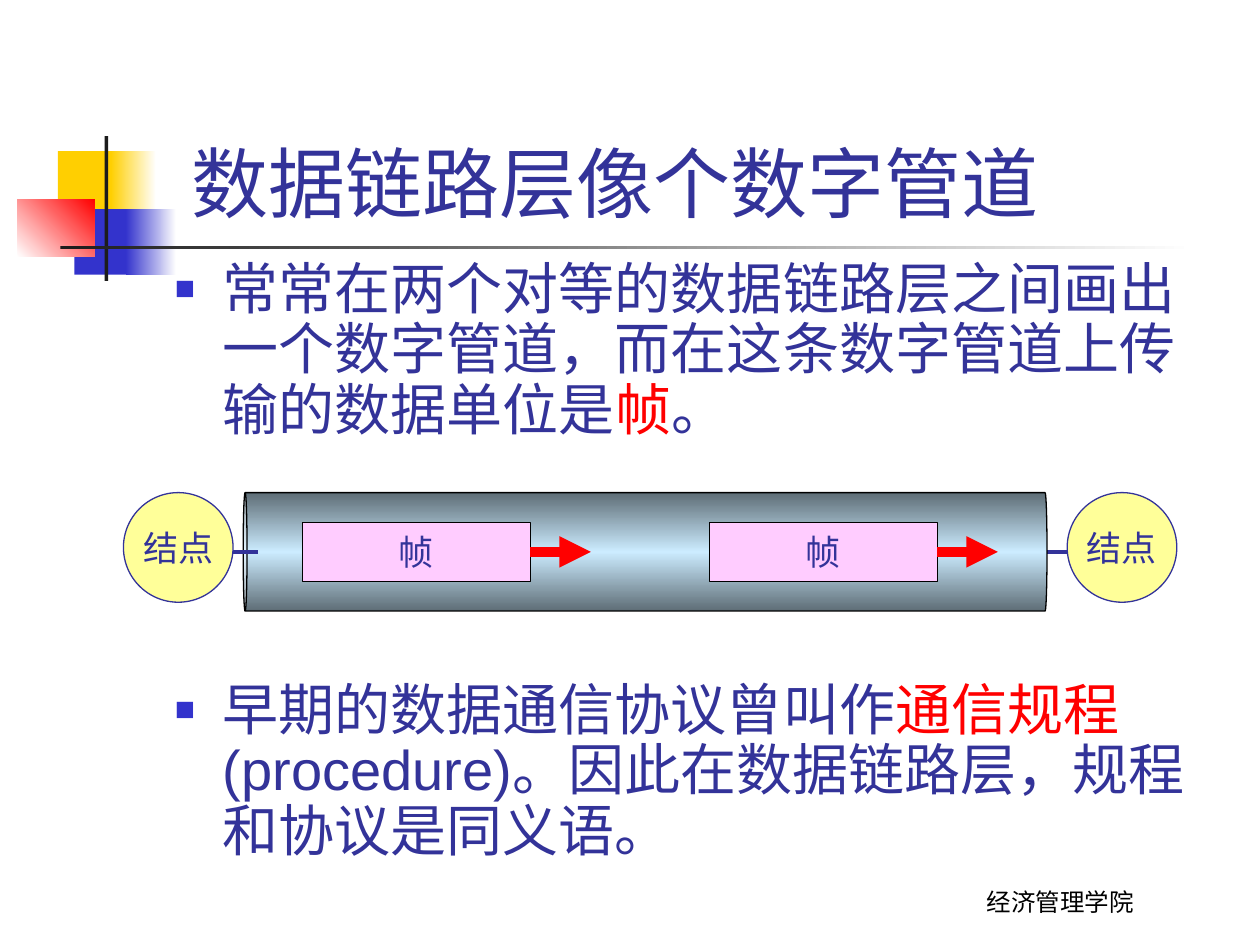
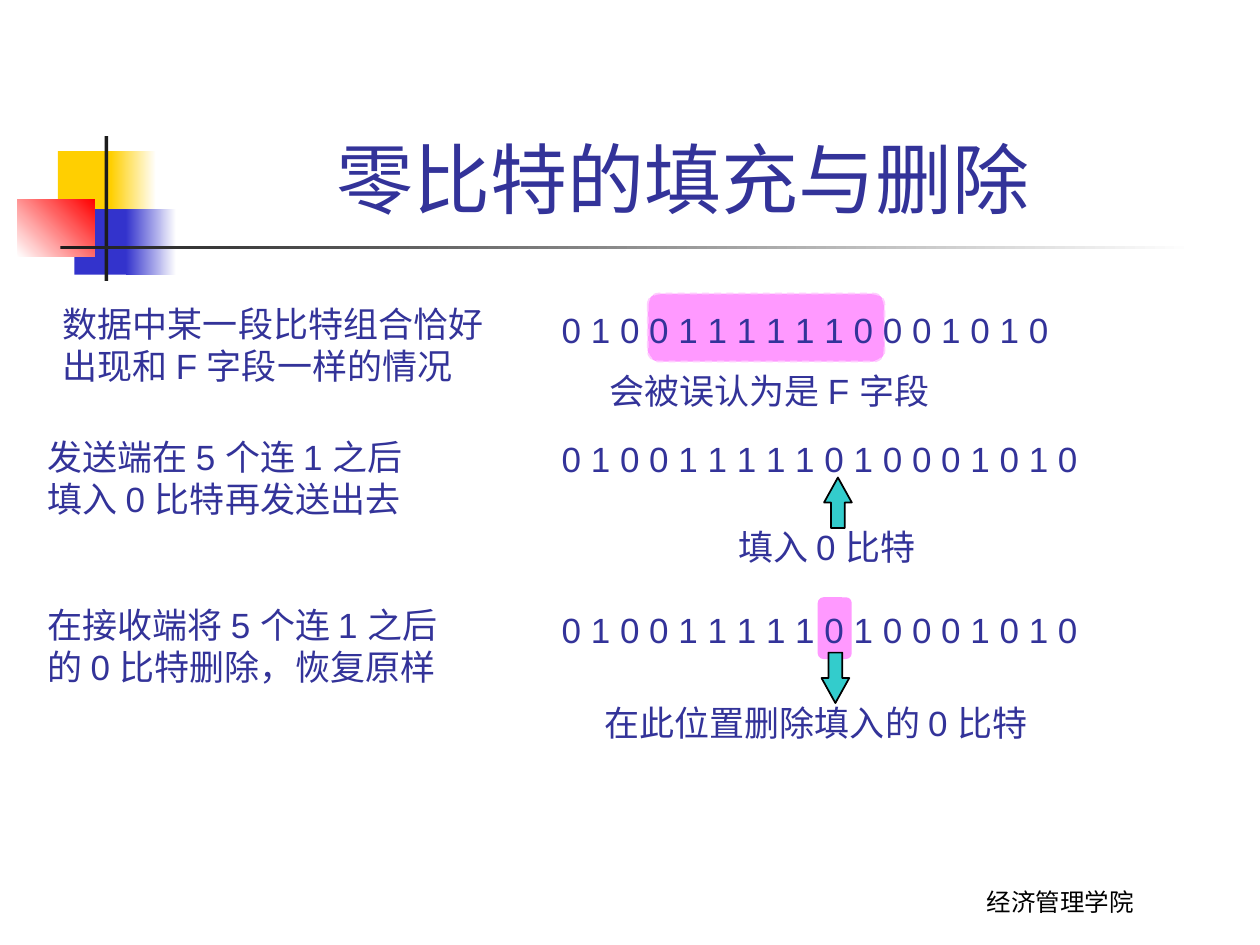
from dataclasses import dataclass

from lxml import etree
from pptx import Presentation
from pptx.dml.color import RGBColor
from pptx.enum.dml import MSO_LINE
from pptx.enum.lang import MSO_LANGUAGE_ID
from pptx.enum.shapes import MSO_CONNECTOR, MSO_SHAPE
from pptx.enum.text import MSO_ANCHOR, MSO_AUTO_SIZE, PP_ALIGN
from pptx.oxml.ns import qn
from pptx.util import Inches, Pt

RECTANGLE, ROUNDED = MSO_SHAPE.RECTANGLE, MSO_SHAPE.ROUNDED_RECTANGLE
ELLIPSE, CAN = MSO_SHAPE.OVAL, MSO_SHAPE.CAN
UP_ARROW, DOWN_ARROW = MSO_SHAPE.UP_ARROW, MSO_SHAPE.DOWN_ARROW
STRAIGHT = MSO_CONNECTOR.STRAIGHT
DASH = MSO_LINE.DASH
LEFT, CENTER = PP_ALIGN.LEFT, PP_ALIGN.CENTER
TOP, MIDDLE, BOTTOM = MSO_ANCHOR.TOP, MSO_ANCHOR.MIDDLE, MSO_ANCHOR.BOTTOM
FIT_SHAPE = MSO_AUTO_SIZE.SHAPE_TO_FIT_TEXT
CHINESE = MSO_LANGUAGE_ID.SIMPLIFIED_CHINESE
RIGHT_SIDE = 3


@dataclass(frozen=True)
class Theme:
    ink: str = "333399"
    accent: str = "FF0000"
    black: str = "000000"
    white: str = "FFFFFF"
    rule: str = "1C1C1C"
    yellow: str = "FFCF01"
    blue: str = "3333CC"
    node: str = "FFFF99"
    frame: str = "FFCCFF"
    pipe_edge: str = "5E6D76"
    pipe_glow: str = "CCECFF"
    highlight: str = "FF99FF"
    arrow: str = "33CCCC"
    font: str = "Arial"
    label_font: str = "Cabin"
    title_size: int = 44
    body_size: int = 32
    label_size: int = 20
    footer_size: int = 14


@dataclass(frozen=True)
class Box:
    left: float
    top: float
    width: float
    height: float

    def inner(self, left, top, width, height):
        """Return a box whose corner is measured from this box's corner."""
        return Box(self.left + left, self.top + top, width, height)

    def inches(self):
        return [Inches(n) for n in (self.left, self.top, self.width, self.height)]


@dataclass(frozen=True)
class Step:
    """One row of the bit stuffing example; boxes are relative to the row."""
    row: Box
    explanation: tuple
    explanation_box: Box
    bits: str
    bits_box: Box
    caption: str
    caption_box: Box
    mark_box: Box = None
    mark_dashed: bool = False
    arrow: object = None
    arrow_box: Box = None


THEME = Theme()


def rgb(color):
    return RGBColor.from_string(color)


def set_gradient(shape, colors, angle):
    """Fill with evenly spaced colours; the angle runs clockwise in degrees."""
    shape.fill.background()
    properties = shape._element.spPr
    gradient = etree.Element(qn("a:gradFill"), rotWithShape="1")
    stops = etree.SubElement(gradient, qn("a:gsLst"))
    for index, color in enumerate(colors):
        position = 100000 * index // (len(colors) - 1)
        stop = etree.SubElement(stops, qn("a:gs"), pos=str(position))
        etree.SubElement(stop, qn("a:srgbClr"), val=color)
    etree.SubElement(gradient, qn("a:lin"), ang=str(angle * 60000), scaled="0")
    properties.replace(properties.find(qn("a:noFill")), gradient)


def add_shape(page, kind, box, fill, line=None, weight=0.75, angle=0):
    """Draw a preset shape; a list of colours as fill makes a gradient."""
    shape = page.shapes.add_shape(kind, *box.inches())
    shape.shadow.inherit = False
    if isinstance(fill, list):
        set_gradient(shape, fill, angle)
    else:
        shape.fill.solid()
        shape.fill.fore_color.rgb = rgb(fill)
    if line:
        shape.line.color.rgb = rgb(line)
        shape.line.width = Pt(weight)
    else:
        shape.line.fill.background()
    return shape


def add_line(page, left, right, level, color, weight, arrow=False):
    line = page.shapes.add_connector(
        STRAIGHT, Inches(left), Inches(level), Inches(right), Inches(level))
    line.line.color.rgb = rgb(color)
    line.line.width = Pt(weight)
    if arrow:
        etree.SubElement(line.line._get_or_add_ln(), qn("a:tailEnd"), type="triangle")
    etree.SubElement(line._element.spPr, qn("a:effectLst"))
    return line


def add_span(para, text, size, color=THEME.ink, font=THEME.font):
    span = para.add_run()
    span.text = text
    span.font.size = Pt(size)
    span.font.name = font
    span.font.color.rgb = rgb(color)
    span.font.language_id = CHINESE


def add_text(page, box, lines, size, color=THEME.ink, font=THEME.font,
             align=CENTER, anchor=BOTTOM, wrap=True):
    holder = page.shapes.add_textbox(*box.inches())
    frame = holder.text_frame
    frame.word_wrap = wrap
    frame.vertical_anchor = anchor
    if not wrap:
        frame.auto_size = FIT_SHAPE
    for index, text in enumerate(lines):
        para = frame.add_paragraph() if index else frame.paragraphs[0]
        para.alignment = align
        add_span(para, text, size, color, font)


def add_note(page, box, lines):
    add_text(page, box, lines, THEME.label_size, align=LEFT, anchor=TOP, wrap=False)


def add_label(shape, text):
    frame = shape.text_frame
    frame.word_wrap = False
    frame.vertical_anchor = MIDDLE
    para = frame.paragraphs[0]
    para.alignment = CENTER
    add_span(para, text, THEME.label_size, font=THEME.label_font)


def add_ornament(page, box):
    """Draw the overlapping colour squares and the fading rule."""
    parts = [
        (0.32, 0.12, 0.48, 0.52, THEME.yellow, 0),
        (0.74, 0.12, 0.36, 0.52, [THEME.yellow, THEME.white], 0),
        (0.45, 0.58, 0.46, 0.52, THEME.blue, 0),
        (0.86, 0.58, 0.4, 0.52, [THEME.blue, THEME.white], 0),
        (0, 0.5, 0.61, 0.46, [THEME.white, THEME.accent], 315),
        (0.69, 0, 0.03, box.height, THEME.rule, 0),
        (0.34, 0.87, box.width - 0.34, 0.03, [THEME.rule, THEME.white], 0),
    ]
    for *place, fill, angle in parts:
        add_shape(page, RECTANGLE, box.inner(*place), fill, angle=angle)


def add_page(deck, title, title_box):
    page = deck.slides.add_slide(deck.slide_layouts[6])
    add_ornament(page, Box(0.14, 1.08, 9.34, 1.15))
    add_text(page, Box(6.83, 6.82, 3.17, 0.5), ["经济管理学院"],
             THEME.footer_size, THEME.black, THEME.label_font)
    add_text(page, title_box, [title], THEME.title_size)
    return page


def set_bullet(para):
    properties = para._p.get_or_add_pPr()
    properties.set("marL", str(Inches(0.38)))
    properties.set("indent", str(-Inches(0.38)))
    color = etree.SubElement(properties, qn("a:buClr"))
    etree.SubElement(color, qn("a:srgbClr"), val=THEME.blue)
    etree.SubElement(properties, qn("a:buSzPct"), val="60000")
    etree.SubElement(properties, qn("a:buFont"), typeface=THEME.font)
    etree.SubElement(properties, qn("a:buChar"), char="■")


def add_bullets(page, box, bullets):
    """Write bullets given as (space before, [(text, colour), ...])."""
    frame = page.shapes.add_textbox(*box.inches()).text_frame
    frame.word_wrap = True
    for index, (space, spans) in enumerate(bullets):
        para = frame.add_paragraph() if index else frame.paragraphs[0]
        para.line_spacing = 0.9
        para.space_before = Pt(space)
        set_bullet(para)
        for text, color in spans:
            add_span(para, text, THEME.body_size, color)


def add_digital_pipe(page, box):
    """Draw two nodes joined by a pipe that carries frames to the right."""
    node, gap, frame_width, frame_height = 0.87, 0.08, 1.81, 0.47
    middle = box.top + box.height / 2
    link_start = box.left + node
    for offset in (0, box.width - node):
        circle = add_shape(page, ELLIPSE, box.inner(offset, 0, node, node),
                           THEME.node, THEME.ink)
        add_label(circle, "结点")
    add_line(page, link_start, box.left + box.width - node, middle, THEME.ink, 2.25)

    length = box.width - 2 * (node + gap) - 0.08
    upright = box.inner(node + gap + (length - box.height) / 2,
                        (box.height - length) / 2, box.height, length)
    pipe = add_shape(page, CAN, upright,
                     [THEME.pipe_edge, THEME.pipe_glow, THEME.pipe_edge], THEME.black)
    pipe.adjustments[0] = 0.033
    pipe.rotation = 270
    add_line(page, link_start, link_start + 0.2, middle, THEME.ink, 2.25)

    for offset in (1.42, 4.65):
        place = box.inner(offset, (box.height - frame_height) / 2,
                          frame_width, frame_height)
        frame = add_shape(page, RECTANGLE, place, THEME.frame, THEME.black)
        add_label(frame, "帧")
        start = place.left + frame_width
        arrow = add_line(page, start, start + 0.48, middle, THEME.accent, 6, arrow=True)
        arrow.begin_connect(frame, RIGHT_SIDE)


def add_step(page, step):
    def place(box):
        return step.row.inner(box.left, box.top, box.width, box.height)

    if step.mark_box:
        mark = add_shape(page, ROUNDED, place(step.mark_box), THEME.highlight,
                         THEME.frame if step.mark_dashed else None, 1)
        mark.adjustments[0] = 0.167
        if step.mark_dashed:
            mark.line.dash_style = DASH
    add_note(page, place(step.explanation_box), step.explanation)
    if step.arrow:
        arrow = add_shape(page, step.arrow, place(step.arrow_box),
                          THEME.arrow, THEME.black, 1)
        arrow.adjustments[1] = 0.9
    add_note(page, place(step.caption_box), [step.caption])
    add_note(page, place(step.bits_box), [" ".join(step.bits)])


def build_pipe_page(deck):
    page = add_page(deck, "数据链路层像个数字管道 ", Box(1.2, 1.02, 7.5, 0.84))
    add_bullets(page, Box(1.29, 2.02, 8.5, 5.29), [
        (8, [("常常在两个对等的数据链路层之间画出一个数字管道，"
              "而在这条数字管道上传输的数据单位是", THEME.ink),
             ("帧", THEME.accent), ("。", THEME.ink)]),
        (137, [("早期的数据通信协议曾叫作", THEME.ink), ("通信规程", THEME.accent),
               ("(procedure)。因此在数据链路层，规程和协议是同义语。", THEME.ink)]),
    ])
    add_digital_pipe(page, Box(0.98, 3.91, 8.36, 0.94))


def build_stuffing_page(deck):
    page = add_page(deck, "零比特的填充与删除 ", Box(0.98, 0.23, 9.02, 1.6))
    stuffed_bits = "010011111010001010"
    steps = [
        Step(Box(0.28, 2.35, 8.38, 0.96),
             ("数据中某一段比特组合恰好", "出现和 F 字段一样的情况"), Box(0.12, 0, 3.54, 0.76),
             "01001111110001010", Box(4.08, 0.05, 4.07, 0.43),
             "会被误认为是 F 字段", Box(4.46, 0.53, 2.87, 0.43),
             mark_box=Box(4.86, -0.02, 1.88, 0.54), mark_dashed=True),
        Step(Box(0.28, 3.41, 8.38, 1.14),
             ("发送端在 5 个连 1 之后", "填入 0 比特再发送出去"), Box(0, 0, 3.28, 0.76),
             stuffed_bits, Box(4.08, 0.01, 4.3, 0.43),
             "填入 0 比特", Box(5.48, 0.71, 1.74, 0.43),
             arrow=UP_ARROW, arrow_box=Box(6.26, 0.38, 0.22, 0.4)),
        Step(Box(0.28, 4.74, 8.38, 1.21),
             ("在接收端将 5 个连 1 之后", "的 0 比特删除，恢复原样"), Box(0, 0, 3.56, 0.76),
             stuffed_bits, Box(4.08, 0.04, 4.3, 0.43),
             "在此位置删除填入的 0 比特", Box(4.42, 0.78, 3.69, 0.43),
             mark_box=Box(6.21, 0, 0.27, 0.49),
             arrow=DOWN_ARROW, arrow_box=Box(6.24, 0.44, 0.22, 0.4)),
    ]
    for step in steps:
        add_step(page, step)


def main():
    deck = Presentation()
    deck.slide_width, deck.slide_height = Inches(10), Inches(7.5)
    build_pipe_page(deck)
    build_stuffing_page(deck)
    deck.save("out.pptx")


if __name__ == "__main__":
    main()
